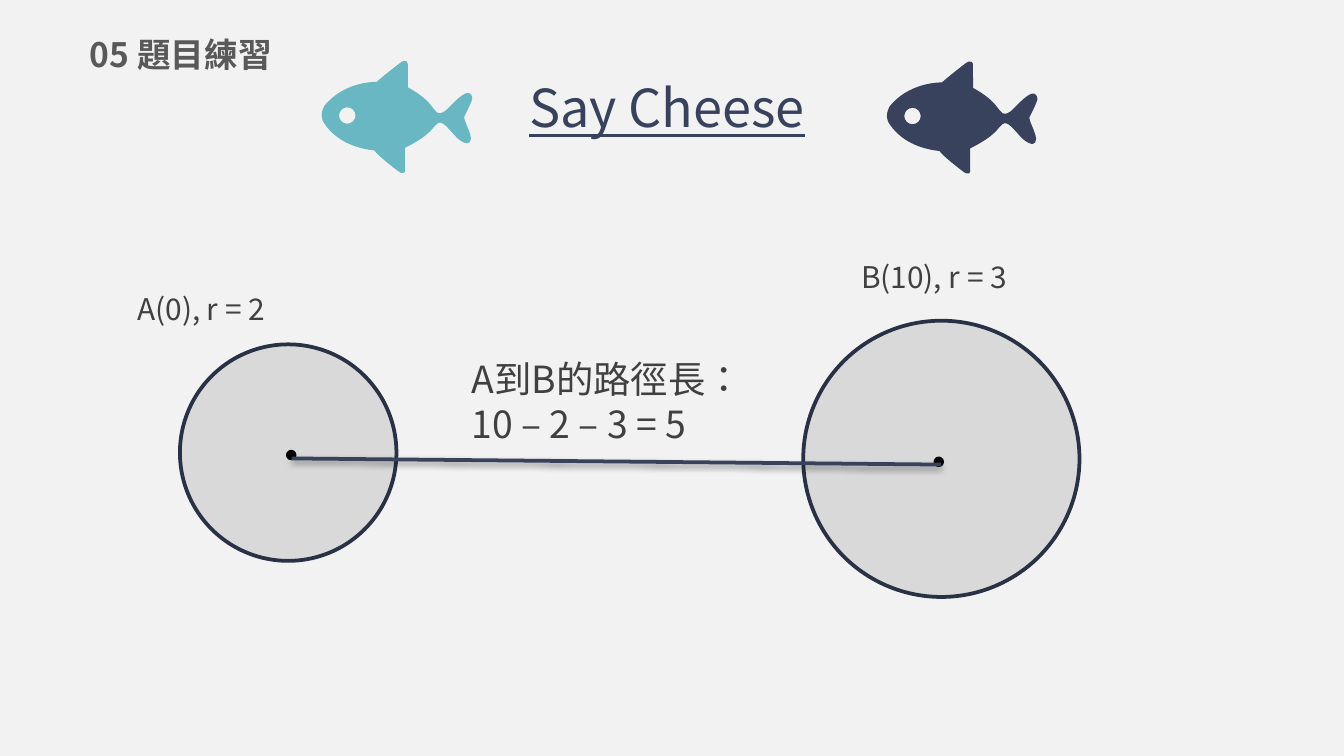
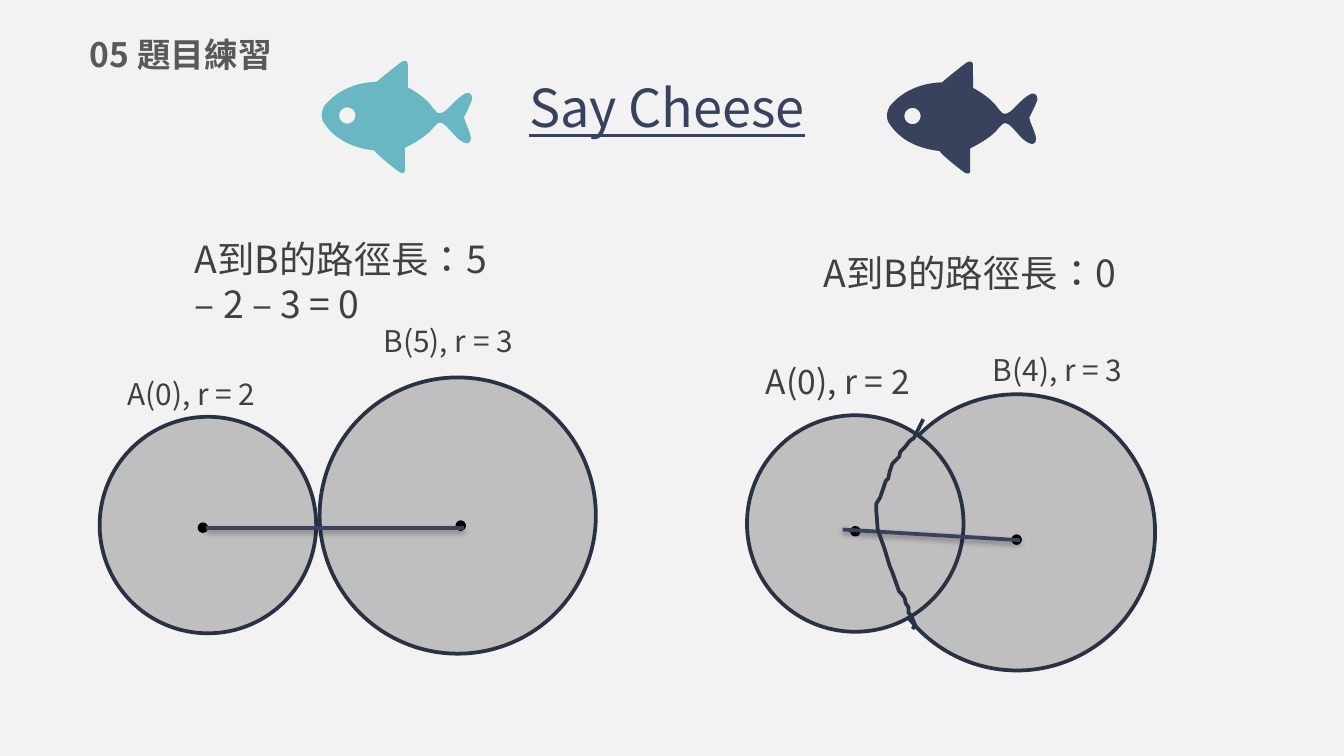
"""Builds two slides on the path length between circular cheese holes."""
from dataclasses import dataclass
from math import cos, radians, sin

from lxml import etree
from pptx import Presentation
from pptx.dml.color import RGBColor
from pptx.enum import shapes, text
from pptx.oxml import ns
from pptx.util import Pt

FONT = "Noto Sans CJK SC"
PAPER = RGBColor(0xF2, 0xF2, 0xF2)
NAVY = RGBColor(0x38, 0x42, 0x5D)
TEAL = RGBColor(0x68, 0xB7, 0xC3)
OUTLINE = RGBColor(0x29, 0x31, 0x45)
HEADING = RGBColor(0x59, 0x59, 0x59)
BODY = RGBColor(0x40, 0x40, 0x40)
BLACK = RGBColor(0, 0, 0)
LIGHT_GREY = RGBColor(0xD9, 0xD9, 0xD9)
MID_GREY = RGBColor(0xBF, 0xBF, 0xBF)

WIDTH, HEIGHT = 720, 405
LINE_WIDTH = 2
DOT_SIZE = 3.6
SMALL_HOLE, LARGE_HOLE = 116, 148

Point = tuple[float, float]

FISH_TURN = 316.5
FISH_CENTER = (44.3, 32.8)
FISH_CURVES = [
    (0, 31.7),
    (0, 29.5), (0.7, 28.1), (1.4, 26.6),
    (9.4, 16.6), (21.6, 13.7), (29.5, 13.7),
    (31.7, 11.5), (41, 4.3), (41, 4.3),
    (46.1, 0), (46.1, 4.3), (46.1, 4.3),
    (46.1, 16.6), (46.1, 16.6), (46.1, 16.6),
    (59, 23.8), (59, 28.1), (61.9, 30.2),
    (65.5, 31.7), (68.4, 26.6), (73.4, 22.3),
    (78.5, 18), (80.6, 19.4), (80.6, 23),
    (79.9, 25.2), (77.8, 29.5), (76.3, 32.4),
    (76.3, 32.4), (76.3, 33.8), (77, 35.3),
    (77.8, 37.4), (79.9, 41.8), (79.9, 43.9),
    (79.9, 46.8), (77.8, 48.2), (72.7, 43.9),
    (68.4, 39.6), (64.8, 33.8), (61.9, 36),
    (59, 38.2), (59, 41.8), (44.6, 49),
    (44.6, 61.2), (44.6, 61.2), (44.6, 61.2),
    (44.6, 61.2), (44.6, 64.8), (39.6, 60.5),
    (39.6, 60.5), (30.2, 53.3), (28.1, 50.4),
    (20.9, 49.7), (8.6, 46.8), (1.4, 36),
    (0.7, 35.3), (0, 33.1), (0, 31.7),
]
EYE_CURVES = [
    (13.7, 36.1),
    (16.1, 36.1), (18.1, 34.1), (18.1, 31.7),
    (18.1, 29.3), (16.1, 27.3), (13.7, 27.3),
    (11.3, 27.3), (9.3, 29.3), (9.3, 31.7),
    (9.3, 34.1), (11.3, 36.1), (13.7, 36.1),
]

HIDDEN_EDGE = [
    (494.6, 224.6), (493.2, 227.5), (489.6, 234.7), (487.4, 236.2), (484.6, 239.8),
    (482.4, 241.9), (481.7, 244.8), (478.1, 248.4), (476.6, 252.7), (475.9, 256.3),
    (474.5, 257.8), (471.6, 266.4), (469.4, 270), (469.4, 272.9), (470.2, 283.7),
    (473.8, 293.8), (476.6, 303.1), (478.1, 306.7), (481.7, 316.8), (483.1, 318.2),
    (484.6, 320.4), (485.3, 323.3), (486.7, 325.4), (486.7, 328.3), (488.2, 329.8),
    (489.6, 333.4), (490.3, 334.8), (488.9, 337),
]


@dataclass(frozen=True)
class Hole:
    """A cheese hole with its centre dot and label."""
    center: Point
    size: float
    dot: Point
    label: str
    label_at: Point
    label_size: float = 16


@dataclass(frozen=True)
class Case:
    """Two holes, the path between them and its length."""
    holes: tuple[Hole, Hole]
    fill: RGBColor
    path_line: tuple[Point, Point]
    answer: str
    answer_at: Point
    answer_height: float = 55.4


FAR_APART = Case(
    (Hole((154.4, 242.5), SMALL_HOLE, (156, 243.8), "A(0), r = 2", (66.5, 152.2)),
     Hole((504.3, 245.8), LARGE_HOLE, (502.9, 247.4), "B(10), r = 3", (454.3, 135))),
    LIGHT_GREY, ((156.2, 245.6), (504, 248.9)), "10 – 2 – 3 = 5", (245.5, 187.2))
TOUCHING = Case(
    (Hole((111.4, 281.3), SMALL_HOLE, (108.7, 282.7), "A(0), r = 2", (61.2, 198)),
     Hole((245.2, 276.2), LARGE_HOLE, (246.8, 281.6), "B(5), r = 3", (198.5, 169.2))),
    MID_GREY, ((110.2, 283), (248.4, 283)), "5 – 2 – 3 = 0", (97.2, 123.1))
OVERLAPPING = Case(
    (Hole((544.8, 285.2), LARGE_HOLE, (544.6, 289.1), "B(4), r = 3", (524.9, 185)),
     Hole((458.2, 280.5), SMALL_HOLE, (458.2, 284.6), "A(0), r = 2", (403.2, 190.1), 18)),
    MID_GREY, ((451.4, 283.7), (546.5, 289.4)), "0", (434.2, 130.5), 31.7)


def write(tf, content: str, *, size: float, color: RGBColor, bold: bool = False,
          underline: bool = False, wrap: bool = True, anchor=text.MSO_ANCHOR.TOP) -> None:
    """Put one formatted run into a text frame."""
    tf.word_wrap = wrap
    tf.vertical_anchor = anchor
    p = tf.paragraphs[0]
    p.alignment = text.PP_ALIGN.LEFT
    r = p.add_run()
    r.text = content
    r.font.size = Pt(size)
    r.font.bold = bold
    r.font.underline = underline
    r.font.color.rgb = color
    r.font.name = FONT
    r.font._element.set("lang", "zh-TW")
    etree.SubElement(r.font._element, ns.qn("a:ea"), typeface=FONT)


def add_text(s, at: Point, width: float, height: float, content: str, **style):
    """Add a text box and return its text frame."""
    tf = s.shapes.add_textbox(Pt(at[0]), Pt(at[1]), Pt(width), Pt(height)).text_frame
    write(tf, content, **style)
    return tf


def paint(sp, fill: RGBColor | None = None, line: RGBColor | None = None) -> None:
    """Set a shape's fill and line, or leave them empty."""
    sp.shadow.inherit = False
    if fill is None:
        sp.fill.background()
    else:
        sp.fill.solid()
        sp.fill.fore_color.rgb = fill
    if line is None:
        sp.line.fill.background()
    else:
        sp.line.color.rgb = line
        sp.line.width = Pt(LINE_WIDTH)


def add_disc(s, center: Point, size: float, fill: RGBColor, line: RGBColor) -> None:
    """Draw a circle around a centre."""
    left, top = (Pt(c - size / 2) for c in center)
    sp = s.shapes.add_shape(shapes.MSO_SHAPE.OVAL, left, top, Pt(size), Pt(size))
    paint(sp, fill, line)


def add_path_line(s, start: Point, end: Point) -> None:
    """Draw the path between two centres with a soft shadow."""
    cn = s.shapes.add_connector(shapes.MSO_CONNECTOR.STRAIGHT,
                                Pt(start[0]), Pt(start[1]), Pt(end[0]), Pt(end[1]))
    cn.line.color.rgb = NAVY
    cn.line.width = Pt(LINE_WIDTH)
    effects = etree.SubElement(cn._element.spPr, ns.qn("a:effectLst"))
    shadow = etree.SubElement(effects, ns.qn("a:outerShdw"), blurRad=str(Pt(3.1)),
                              dist=str(Pt(1.6)), dir="5400000", rotWithShape="0")
    color = etree.SubElement(shadow, ns.qn("a:srgbClr"), val=str(BLACK))
    etree.SubElement(color, ns.qn("a:alpha"), val="38000")


def add_outline(s, contours: list[list[Point]], close: bool = True):
    """Draw one freeform made of several contours."""
    builder = None
    for contour in contours:
        first, *rest = [(Pt(x), Pt(y)) for x, y in contour]
        if builder is None:
            builder = s.shapes.build_freeform(*first)
        else:
            builder.move_to(*first)
        builder.add_line_segments(rest, close=close)
    return builder.convert_to_shape()


def curve(sp) -> None:
    """Join each three line segments of a freeform into a cubic curve."""
    segments = list(sp._element.iter(ns.qn("a:lnTo")))
    for first, second, third in zip(*[iter(segments)] * 3):
        first.tag = ns.qn("a:cubicBezTo")
        for segment in (second, third):
            first.append(segment[0])
            segment.getparent().remove(segment)


def turn(point: Point, degrees: float) -> Point:
    """Turn a point clockwise about the middle of the fish."""
    x, y = point[0] - FISH_CENTER[0], point[1] - FISH_CENTER[1]
    c, d = cos(radians(degrees)), sin(radians(degrees))
    return FISH_CENTER[0] + c * x - d * y, FISH_CENTER[1] + d * x + c * y


def add_fish(s, origin: Point, color: RGBColor) -> None:
    """Draw a fish with a hole for its eye."""
    contours = []
    for points in (FISH_CURVES, EYE_CURVES):
        turned = [turn(point, -FISH_TURN) for point in points]
        contours.append([(origin[0] + x, origin[1] + y) for x, y in turned])
    sp = add_outline(s, contours)
    curve(sp)
    sp.rotation = FISH_TURN
    paint(sp, color)


def add_case(s, case: Case) -> None:
    """Draw the holes, path and answer of a case."""
    for hole in case.holes:
        add_disc(s, hole.center, hole.size, case.fill, OUTLINE)
    for hole in case.holes:
        add_disc(s, hole.dot, DOT_SIZE, BLACK, BLACK)
        add_text(s, hole.label_at, 100, 26.6, hole.label, size=hole.label_size,
                 color=BODY, wrap=hole.label_size == 16)
    add_path_line(s, *case.path_line)
    add_text(s, case.answer_at, 181.4, case.answer_height, f"A到B的路徑長：{case.answer}",
             size=20, color=BODY)


def add_slide(prs, *cases: Case):
    """Add a slide with the shared header and its cases."""
    s = prs.slides.add_slide(prs.slide_layouts.get_by_name("Title Only"))
    title = s.shapes.title
    title.left, title.top, title.width, title.height = Pt(276.2), Pt(36.7), Pt(167), Pt(41)
    write(title.text_frame, "Say Cheese", size=28, color=NAVY, underline=True, wrap=False)
    tf = add_text(s, (48.2, 13.7), 168, 30.2, "05 題目練習", size=18, color=HEADING,
                  bold=True, anchor=text.MSO_ANCHOR.MIDDLE)
    tf.margin_left = tf.margin_right = 0
    add_fish(s, (474.8, 30.6), NAVY)
    add_fish(s, (172, 30.3), TEAL)
    for case in cases:
        add_case(s, case)
    return s


def add_backdrop(prs, s) -> None:
    """Place a full-size grey panel behind everything on the master."""
    sp = s.shapes.add_shape(shapes.MSO_SHAPE.RECTANGLE, 0, 0, Pt(WIDTH), Pt(HEIGHT))
    paint(sp, PAPER)
    prs.slide_master.shapes._spTree.insert(2, sp._element)


def main() -> None:
    """Build and save the presentation."""
    prs = Presentation()
    prs.slide_width, prs.slide_height = Pt(WIDTH), Pt(HEIGHT)
    s = add_slide(prs, FAR_APART)
    add_backdrop(prs, s)
    s = add_slide(prs, TOUCHING, OVERLAPPING)
    paint(add_outline(s, [HIDDEN_EDGE], close=False), line=OUTLINE)
    prs.save("out.pptx")


if __name__ == "__main__":
    main()
